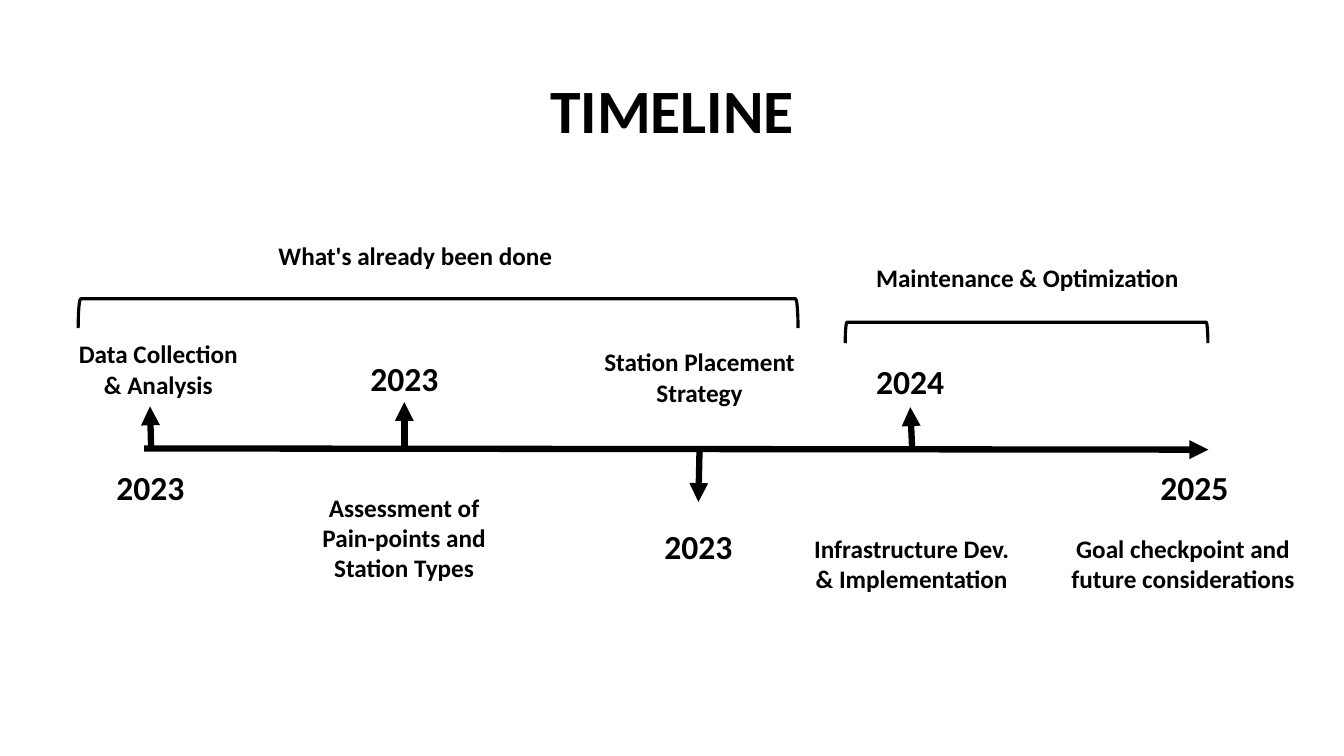
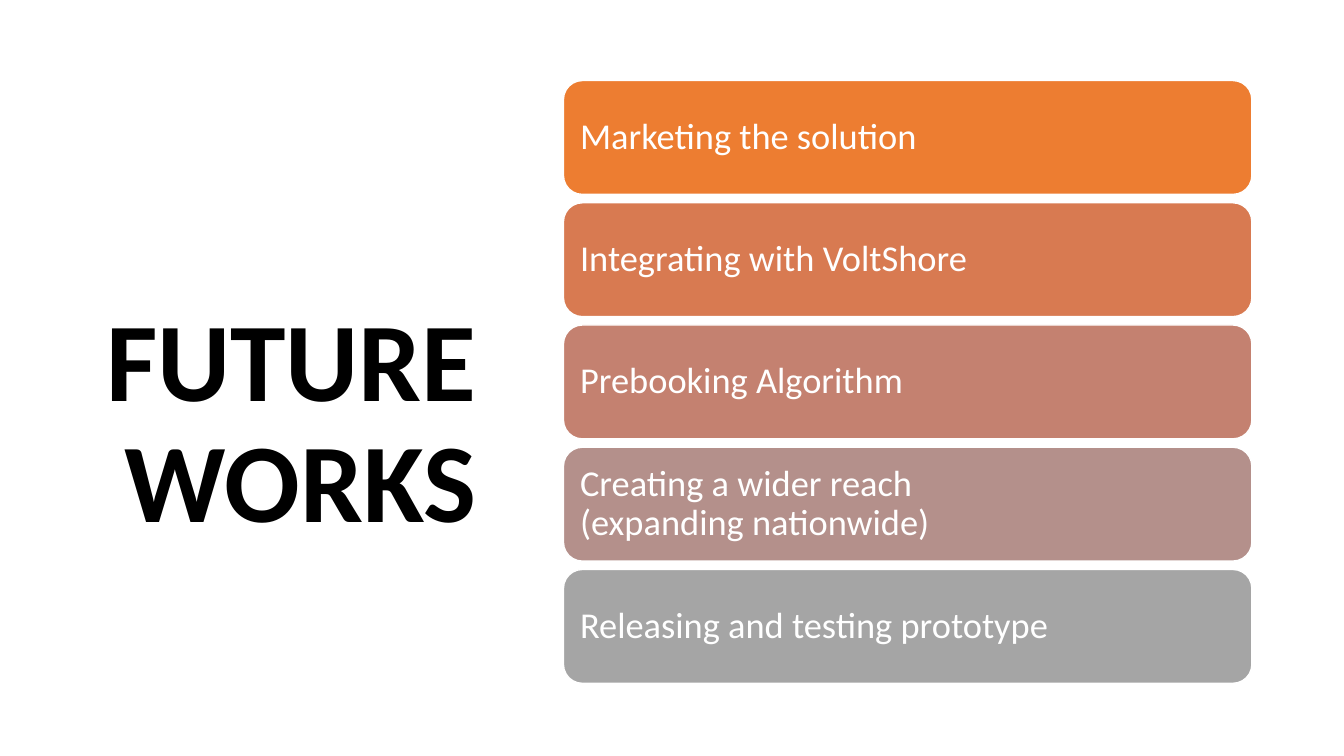
"""Build a project timeline slide and a future works slide."""
from typing import NamedTuple

import lxml.etree
import pptx
import pptx.dml.color
import pptx.enum.shapes
import pptx.enum.text
import pptx.oxml.ns
import pptx.slide
import pptx.text.text
import pptx.util

Cm = pptx.util.Cm
Pt = pptx.util.Pt
ALIGN = pptx.enum.text.PP_ALIGN
ANCHOR = pptx.enum.text.MSO_ANCHOR
SHAPE = pptx.enum.shapes.MSO_SHAPE

FONT = "Calibri"
COLOURS = {
    "ink": "000000",
    "paper": "FFFFFF",
    "orange": "ED7D31",
    "terracotta": "D87A51",
    "rose": "C48170",
    "mauve": "B4908B",
    "grey": "A5A5A5",
}
YEAR_SIZE = 24
LABEL_SIZE = 18
CARD_LEFT, CARD_TOP, CARD_WIDTH, CARD_HEIGHT, CARD_PITCH = 14.2, 2.03, 17.35, 2.87, 3.08
CARD_INSET = 0.28


class Box(NamedTuple):
    """Position and size in centimetres."""
    left: float
    top: float
    width: float
    height: float


class Label(NamedTuple):
    """A centred caption on the timeline."""
    text: str
    box: Box
    size: int = LABEL_SIZE


class Arrow(NamedTuple):
    """Start and end points in centimetres."""
    from_x: float
    from_y: float
    to_x: float
    to_y: float


class Card(NamedTuple):
    """One future task and its fill colour."""
    text: str
    colour: str


LABELS = [
    Label("Data Collection & Analysis", Box(1.68, 8.41, 4.62, 1.85)),
    Label("Assessment of Pain-points and Station Types", Box(7.34, 12.27, 5.69, 2.57)),
    Label("Station Placement Strategy", Box(14.58, 8.61, 6.1, 1.8)),
    Label("Infrastructure Dev. & Implementation", Box(20.04, 13.31, 5.87, 1.8)),
    Label("Goal checkpoint and future considerations", Box(26.49, 13.31, 6.65, 2.57)),
    Label("What's already been done", Box(5.54, 5.94, 9.86, 1.02)),
    Label("Maintenance & Optimization", Box(20.96, 6.48, 9.86, 1.02)),
    Label("2023", Box(2.62, 11.63, 2.34, 1.27), YEAR_SIZE),
    Label("2023", Box(9.02, 8.89, 2.34, 1.27), YEAR_SIZE),
    Label("2023", Box(16.43, 13.13, 2.34, 1.27), YEAR_SIZE),
    Label("2024", Box(21.77, 8.97, 2.34, 1.27), YEAR_SIZE),
    Label("2025", Box(28.22, 11.63, 3.76, 1.27), YEAR_SIZE),
]
ARROWS = [
    Arrow(3.63, 11.3, 30.45, 11.33),
    Arrow(3.81, 11.35, 3.78, 10.24),
    Arrow(10.19, 11.25, 10.19, 10.13),
    Arrow(17.63, 11.28, 17.6, 12.65),
    Arrow(22.99, 11.35, 22.94, 10.26),
]
BRACKETS = [Box(1.97, 7.53, 18.14, 0.74), Box(21.3, 8.12, 9.14, 0.53)]
CARDS = [
    Card("Marketing the solution", "orange"),
    Card("Integrating with VoltShore", "terracotta"),
    Card("Prebooking Algorithm", "rose"),
    Card("Creating a wider reach\v(expanding nationwide)", "mauve"),
    Card("Releasing and testing prototype", "grey"),
]


def colour(name: str) -> pptx.dml.color.RGBColor:
    """Return a named colour."""
    return pptx.dml.color.RGBColor.from_string(COLOURS[name])


def write(text_frame: pptx.text.text.TextFrame, text: str, size: int, ink: str,
          align: ALIGN, bold: bool, anchor: ANCHOR, spacing: float) -> None:
    """Fill a text frame with one formatted paragraph."""
    text_frame.text = text
    text_frame.word_wrap = True
    text_frame.vertical_anchor = anchor
    paragraph = text_frame.paragraphs[0]
    paragraph.alignment = align
    paragraph.line_spacing = spacing
    for run in paragraph.runs:
        run.font.name = FONT
        run.font.size = Pt(size)
        run.font.bold = bold
        run.font.color.rgb = colour(ink)


def add_text(slide: pptx.slide.Slide, box: Box, text: str, size: int,
             align: ALIGN = ALIGN.CENTER, anchor: ANCHOR = ANCHOR.TOP,
             spacing: float = 1.0) -> None:
    """Add a bold text box."""
    shape = slide.shapes.add_textbox(*map(Cm, box))
    write(shape.text_frame, text, size, "ink", align, True, anchor, spacing)


def add_title(slide: pptx.slide.Slide, box: Box, text: str, size: int, align: ALIGN) -> None:
    """Add a slide title."""
    add_text(slide, box, text, size, align, ANCHOR.MIDDLE, 0.9)


def add_arrow(slide: pptx.slide.Slide, arrow: Arrow) -> None:
    """Add a thick line that ends in a triangle."""
    connector = slide.shapes.add_connector(
        pptx.enum.shapes.MSO_CONNECTOR.STRAIGHT, *map(Cm, arrow))
    connector.line.color.rgb = colour("ink")
    connector.line.width = Pt(4.5)
    qualified = pptx.oxml.ns.qn
    line = connector.line._get_or_add_ln()
    lxml.etree.SubElement(line, qualified("a:tailEnd"), type="triangle")
    lxml.etree.SubElement(connector._element.spPr, qualified("a:effectLst"))


def add_bracket(slide: pptx.slide.Slide, box: Box) -> None:
    """Add a bracket that opens downwards and spans the given box."""
    left = box.left + (box.width - box.height) / 2
    top = box.top - (box.width - box.height) / 2
    shape = slide.shapes.add_shape(
        SHAPE.LEFT_BRACKET, Cm(left), Cm(top), Cm(box.height), Cm(box.width))
    shape.rotation = 90
    shape.shadow.inherit = False
    shape.fill.background()
    shape.line.color.rgb = colour("ink")
    shape.line.width = Pt(2.25)


def add_card(slide: pptx.slide.Slide, index: int, card: Card) -> None:
    """Add one rounded card to the column."""
    box = Box(CARD_LEFT, CARD_TOP + index * CARD_PITCH, CARD_WIDTH, CARD_HEIGHT)
    shape = slide.shapes.add_shape(SHAPE.ROUNDED_RECTANGLE, *map(Cm, box))
    shape.shadow.inherit = False
    shape.fill.solid()
    shape.fill.fore_color.rgb = colour(card.colour)
    shape.line.color.rgb = colour("paper")
    shape.line.width = Pt(1)
    text_frame = shape.text_frame
    text_frame.margin_left = text_frame.margin_right = Cm(CARD_INSET)
    text_frame.margin_top = text_frame.margin_bottom = Cm(CARD_INSET)
    write(text_frame, card.text, 26, "paper", ALIGN.LEFT, False, ANCHOR.MIDDLE, 0.9)


def build_timeline(slide: pptx.slide.Slide) -> None:
    """Draw the timeline."""
    add_title(slide, Box(2.34, 1.02, 29.21, 3.68), "TIMELINE", 44, ALIGN.CENTER)
    for bracket in BRACKETS:
        add_bracket(slide, bracket)
    for arrow in ARROWS:
        add_arrow(slide, arrow)
    for label in LABELS:
        add_text(slide, label.box, label.text, label.size)


def build_future_works(slide: pptx.slide.Slide) -> None:
    """Draw the list of future works."""
    add_title(slide, Box(1.32, 2.97, 10.95, 15.52), "FUTURE WORKS", 80, ALIGN.RIGHT)
    for index, card in enumerate(CARDS):
        add_card(slide, index, card)


def main() -> None:
    """Build and save the presentation."""
    presentation = pptx.Presentation()
    presentation.slide_width = Cm(33.87)
    presentation.slide_height = Cm(19.05)
    blank_layout = presentation.slide_layouts[6]
    for build in (build_timeline, build_future_works):
        build(presentation.slides.add_slide(blank_layout))
    presentation.save("out.pptx")


if __name__ == "__main__":
    main()
